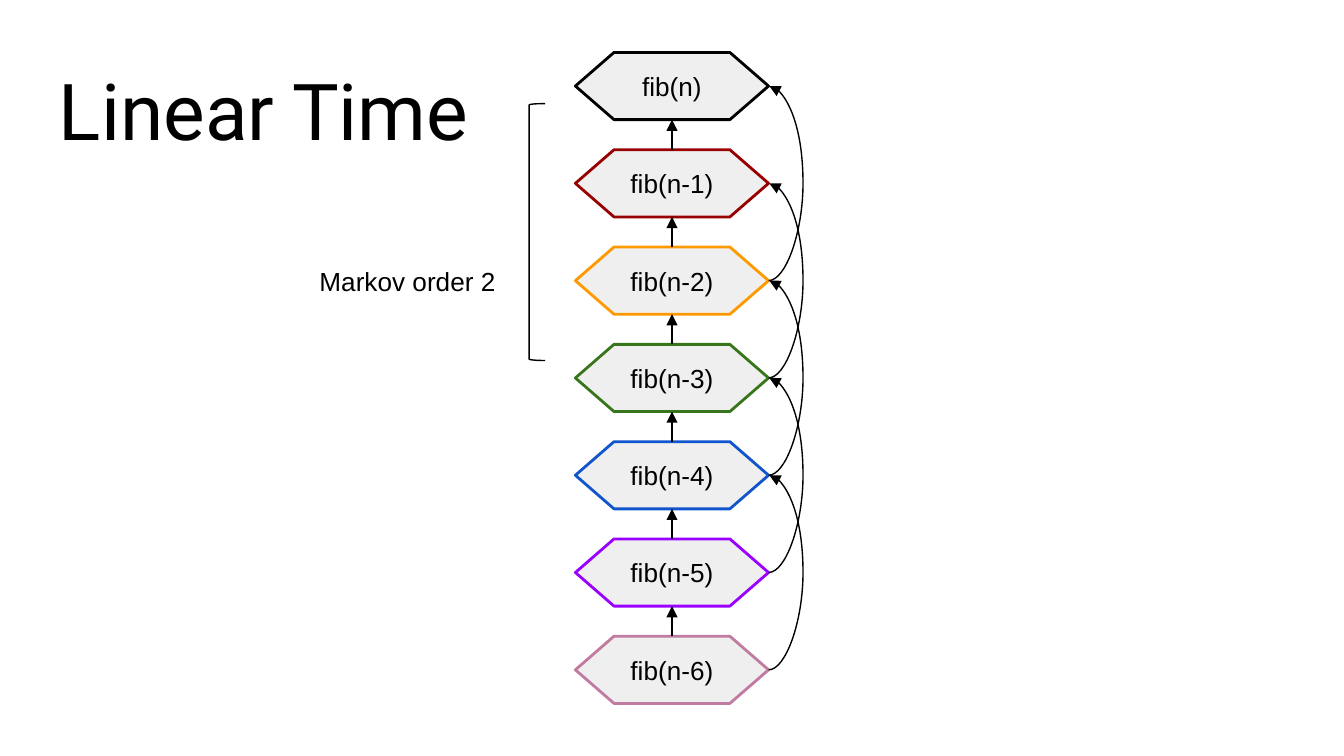
import dataclasses

import lxml.etree
import pptx
import pptx.dml.color
import pptx.enum.shapes
import pptx.enum.text
import pptx.oxml.ns
import pptx.util

EMU_PER_PX = 914400 / 192
BLACK = "000000"
NODE_FILL = "EFEFEF"

# Layout of the chain of calls
CENTER_X = 960
NODE_WIDTH, NODE_HEIGHT = 276, 96
FIRST_TOP, PITCH = 75, 139
CURVE_BULGE = 50

ALIGN = pptx.enum.text.PP_ALIGN
ANCHOR = pptx.enum.text.MSO_ANCHOR
SHAPE = pptx.enum.shapes.MSO_SHAPE
CONNECTOR = pptx.enum.shapes.MSO_CONNECTOR


@dataclasses.dataclass
class Node:
    label: str
    color: str


NODES = [
    Node("fib(n)", BLACK),
    Node("fib(n-1)", "980000"),
    Node("fib(n-2)", "FF9900"),
    Node("fib(n-3)", "38761D"),
    Node("fib(n-4)", "1155CC"),
    Node("fib(n-5)", "9900FF"),
    Node("fib(n-6)", "C27BA0"),
]


def px(length: int) -> pptx.util.Emu:
    return pptx.util.Emu(round(length * EMU_PER_PX))


def rgb(color: str) -> pptx.dml.color.RGBColor:
    return pptx.dml.color.RGBColor.from_string(color)


def write(box, text: str, *, size=14, font="Arial", color=BLACK,
          align=ALIGN.CENTER, anchor=ANCHOR.MIDDLE) -> None:
    frame = box.text_frame
    frame.word_wrap = True
    frame.auto_size = pptx.enum.text.MSO_AUTO_SIZE.NONE
    frame.vertical_anchor = anchor
    frame.margin_left = frame.margin_right = pptx.util.Inches(0.1)
    frame.margin_top = frame.margin_bottom = pptx.util.Inches(0.1)
    para = frame.paragraphs[0]
    para.alignment = align
    span = para.add_run()
    span.text = text
    span.font.size = pptx.util.Pt(size)
    span.font.name = font
    span.font.color.rgb = rgb(color)


def outline(item, color: str, width: float) -> None:
    item.line.color.rgb = rgb(color)
    item.line.width = pptx.util.Pt(width)


def add_node(page, node: Node, top: int):
    box = page.shapes.add_shape(
        SHAPE.FLOWCHART_PREPARATION, px(CENTER_X - NODE_WIDTH // 2), px(top),
        px(NODE_WIDTH), px(NODE_HEIGHT))
    box.shadow.inherit = False
    box.fill.solid()
    box.fill.fore_color.rgb = rgb(NODE_FILL)
    outline(box, node.color, 1.5)
    write(box, node.label)
    return box


def add_arrow(page, kind, start: tuple[int, int], end: tuple[int, int]):
    arrow = page.shapes.add_connector(
        kind, px(start[0]), px(start[1]), px(end[0]), px(end[1]))
    outline(arrow, BLACK, 0.75)
    properties = arrow.element.spPr
    line = properties.find(pptx.oxml.ns.qn("a:ln"))
    lxml.etree.SubElement(line, pptx.oxml.ns.qn("a:tailEnd"), type="triangle")
    lxml.etree.SubElement(properties, pptx.oxml.ns.qn("a:effectLst"))
    return arrow


def add_curve(page, start_y: int, end_y: int) -> None:
    # One px wide, so the bulge is a multiple of that width
    right = CENTER_X + NODE_WIDTH // 2
    arrow = add_arrow(page, CONNECTOR.CURVE, (right, start_y), (right + 1, end_y))
    geometry = arrow.element.spPr.find(pptx.oxml.ns.qn("a:prstGeom"))
    guides = geometry.find(pptx.oxml.ns.qn("a:avLst"))
    lxml.etree.SubElement(guides, pptx.oxml.ns.qn("a:gd"), name="adj1",
                          fmla=f"val {CURVE_BULGE * 100000}")


def main() -> None:
    deck = pptx.Presentation()
    deck.slide_width, deck.slide_height = px(1920), px(1080)
    page = deck.slides.add_slide(deck.slide_layouts[5])

    # Title
    title = page.shapes.title
    title.left, title.top, title.width, title.height = px(65), px(67), px(1790), px(175)
    write(title, "Linear Time", size=42, font="Roboto",
          align=ALIGN.LEFT, anchor=ANCHOR.BOTTOM)

    # Calls, from the result down to the earliest term
    tops = [FIRST_TOP + PITCH * index for index in range(len(NODES))]
    for node, top in zip(NODES, tops):
        add_node(page, node, top)

    # Each term feeds the next one
    for upper, lower in zip(tops, tops[1:]):
        add_arrow(page, CONNECTOR.STRAIGHT, (CENTER_X, lower),
                  (CENTER_X, upper + NODE_HEIGHT))

    # Each term also feeds the one after that
    for upper, lower in zip(tops, tops[2:]):
        add_curve(page, lower + NODE_HEIGHT // 2, upper + NODE_HEIGHT // 2)

    # Bracket and its label
    bracket = page.shapes.add_shape(
        SHAPE.LEFT_BRACKET, px(756), px(148), px(23), px(367))
    bracket.shadow.inherit = False
    bracket.fill.background()
    outline(bracket, BLACK, 0.75)
    label = page.shapes.add_textbox(px(422), px(338), px(305), px(127))
    write(label, "Markov order 2", align=ALIGN.RIGHT)

    deck.save("out.pptx")


if __name__ == "__main__":
    main()
